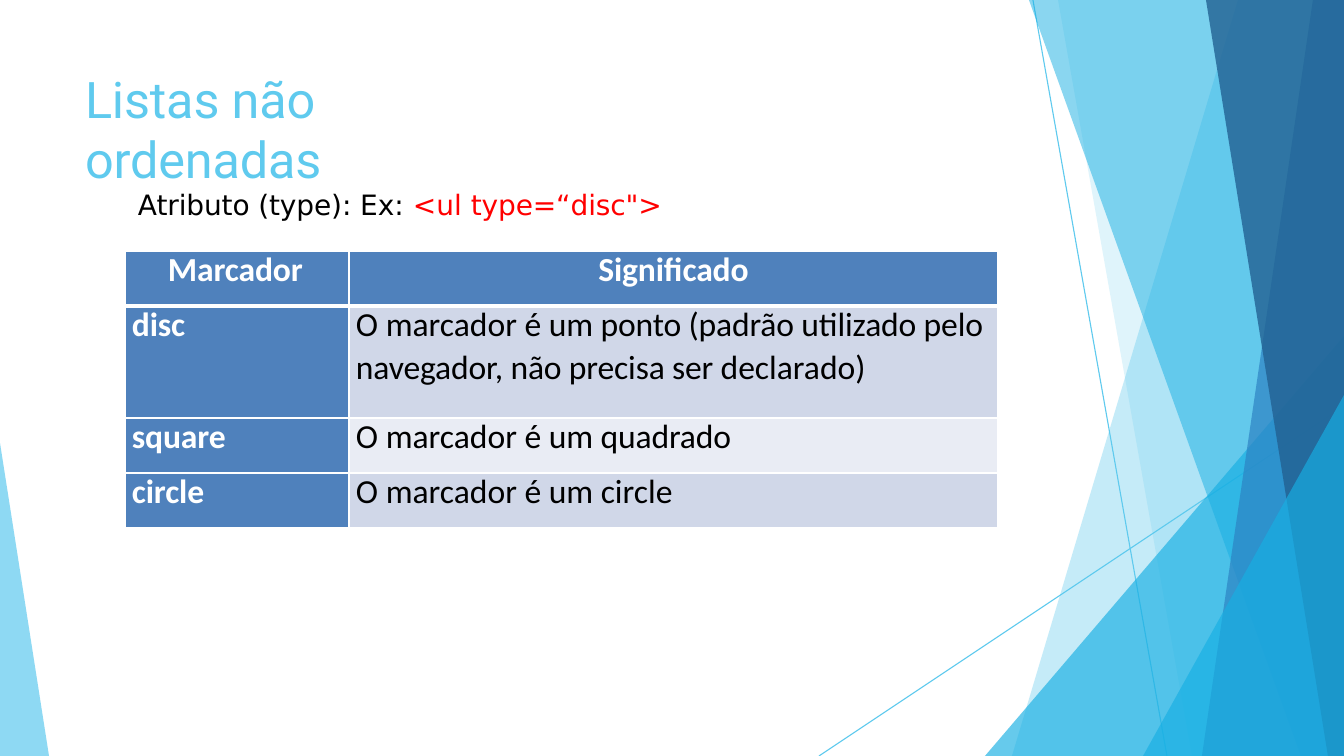
from dataclasses import dataclass

from lxml.etree import SubElement
from pptx import Presentation
from pptx.dml.color import RGBColor
from pptx.dml.fill import FillFormat
from pptx.enum.shapes import MSO_CONNECTOR
from pptx.enum.text import MSO_ANCHOR, MSO_AUTO_SIZE, PP_ALIGN
from pptx.oxml.ns import qn
from pptx.slide import Slide
from pptx.table import _Cell
from pptx.text.text import TextFrame, _Paragraph
from pptx.util import Emu, Pt

EMU_PER_PX = 914400 / 100.8
WIDTH, HEIGHT = 1344, 756
SKY, CYAN, BLUE, NAVY = "5FCAEE", "17AFE3", "2D83C3", "226192"
WHITE, BLACK, RED = "FFFFFF", "000000", "FF0000"
HEADER, BAND_DARK, BAND_LIGHT = "4F81BC", "D0D7E8", "E9ECF4"
TIGHT = -0.1


@dataclass(frozen=True)
class Facet:
    """A translucent polygon of the background, in px."""
    points: tuple[tuple[int, int], ...]
    color: str
    opacity: int


@dataclass(frozen=True)
class Ray:
    """A thin background line, in px."""
    start: tuple[int, int]
    end: tuple[int, int]


@dataclass(frozen=True)
class Span:
    """A run of text with its letter spacing in points."""
    text: str
    spacing: float = TIGHT
    color: str = BLACK


@dataclass(frozen=True)
class Marker:
    """A table row: the marker name and the lines of its meaning."""
    name: str
    lines: tuple[tuple[Span, ...], ...]
    height: int
    fill: str


RAYS = (Ray((1033, 0), (1167, HEIGHT)), Ray((WIDTH, 406), (819, HEIGHT)))


def right_facet(top: int, bottom: int, color: str, opacity: int) -> Facet:
    """Return a full-height facet that ends at the right edge."""
    points = ((WIDTH, 0), (top, 0), (bottom, HEIGHT), (WIDTH, HEIGHT))
    return Facet(points, color, opacity)


def corner_facet(top: int, left: int) -> Facet:
    """Return a triangle in the lower right corner."""
    return Facet(((WIDTH, top), (left, HEIGHT), (WIDTH, HEIGHT)), CYAN, 66)


FACETS = (
    right_facet(1238, 1012, SKY, 36),
    right_facet(1058, 1192, SKY, 20),
    corner_facet(336, 985),
    right_facet(1029, 1301, CYAN, 50),
    right_facet(1313, 1202, BLUE, 70),
    right_facet(1206, 1328, NAVY, 80),
    corner_facet(395, 1143),
    Facet(((0, 443), (0, HEIGHT), (49, HEIGHT)), SKY, 70),
)
INTRO = Span("O marcador é ", 0)
MARKERS = (
    Marker("disc", (
        (INTRO, Span("um ponto (padrão utilizado pelo")),
        (Span("navegador, não precisa ser "), Span("declarado)", 0)),
    ), 112, BAND_DARK),
    Marker("square", ((INTRO, Span("um quadrado")),), 55, BAND_LIGHT),
    Marker("circle", ((INTRO, Span("um "), Span("circle", 0)),), 55, BAND_DARK),
)


def px(length: int) -> Emu:
    """Convert px to EMU."""
    return Emu(round(length * EMU_PER_PX))


def rgb(color: str) -> RGBColor:
    """Convert a hex string to a colour."""
    return RGBColor.from_string(color)


def paint(fill: FillFormat, color: str) -> None:
    """Give a fill one solid colour."""
    fill.solid()
    fill.fore_color.rgb = rgb(color)


def add_facet(page: Slide, facet: Facet) -> None:
    """Draw a translucent polygon."""
    builder = page.shapes.build_freeform(*facet.points[0], scale=EMU_PER_PX)
    builder.add_line_segments(facet.points[1:], close=True)
    shape = builder.convert_to_shape()
    shape.shadow.inherit = False
    shape.line.fill.background()
    paint(shape.fill, facet.color)
    tint = shape.fill._xPr.find(f".//{qn('a:srgbClr')}")
    SubElement(tint, qn("a:alpha"), val=str(facet.opacity * 1000))


def add_ray(page: Slide, ray: Ray) -> None:
    """Draw a thin line."""
    points = [px(length) for length in ray.start + ray.end]
    line = page.shapes.add_connector(MSO_CONNECTOR.STRAIGHT, *points)
    line.line.color.rgb = rgb(SKY)
    line.line.width = Pt(0.8)
    SubElement(line._element.spPr, qn("a:effectLst"))


def add_span(para: _Paragraph, text: str, *, font: str, size: int, color: str,
             bold: bool = False, spacing: float = TIGHT) -> None:
    """Add one formatted run to a paragraph."""
    span = para.add_run()
    span.text = text
    span.font.name = font
    span.font.size = Pt(size)
    span.font.bold = bold
    span.font.color.rgb = rgb(color)
    span._r.get_or_add_rPr().set("spc", str(round(spacing * 100)))


def set_frame(frame: TextFrame) -> None:
    """Make a top-anchored, wrapping frame that grows with its text."""
    frame.word_wrap = True
    frame.auto_size = MSO_AUTO_SIZE.SHAPE_TO_FIT_TEXT
    frame.vertical_anchor = MSO_ANCHOR.TOP
    frame.margin_left = frame.margin_top = px(1)
    frame.margin_right = frame.margin_bottom = 0


def add_borders(cell: _Cell, top: int, bottom: int) -> None:
    """Draw white cell borders, with top and bottom widths in points."""
    properties = cell._tc.get_or_add_tcPr()
    for side, width in (("L", 1), ("R", 1), ("T", top), ("B", bottom)):
        line = SubElement(properties, qn(f"a:ln{side}"), w=str(Pt(width)))
        solid = SubElement(line, qn("a:solidFill"))
        SubElement(solid, qn("a:srgbClr"), val=WHITE)


def fill_cell(cell: _Cell, lines: tuple[tuple[Span, ...], ...], fill: str, *,
              row: int, bold: bool = False, indent: int = 7,
              align: PP_ALIGN = PP_ALIGN.LEFT) -> None:
    """Write and format one table cell."""
    add_borders(cell, 3 if row == 1 else 1, 3 if row == 0 else 1)
    paint(cell.fill, fill)
    cell.margin_left = px(indent)
    cell.margin_right = cell.margin_top = cell.margin_bottom = 0
    for number, spans in enumerate(lines):
        frame = cell.text_frame
        para = frame.add_paragraph() if number else frame.paragraphs[0]
        para.alignment = align
        if number:
            para.space_before = Pt(1.9)
        else:
            para.line_spacing = Pt(28)
        for span in spans:
            add_span(para, span.text, font="Calibri", size=24, bold=bold,
                     color=span.color, spacing=span.spacing)


def add_marker_table(page: Slide) -> None:
    """Add the table of list markers."""
    heights = [55] + [marker.height for marker in MARKERS]
    widths = [224, 649]
    box = page.shapes.add_table(len(heights), 2, px(125), px(251),
                                px(sum(widths)), px(sum(heights)))
    table = box.table
    table.horz_banding = False
    for column, width in zip(table.columns, widths):
        column.width = px(width)
    for line, height in zip(table.rows, heights):
        line.height = px(height)
    fill_cell(table.cell(0, 0), ((Span("Marcador", color=WHITE),),), HEADER,
              row=0, bold=True, indent=43)
    fill_cell(table.cell(0, 1), ((Span("Significado", color=WHITE),),), HEADER,
              row=0, bold=True, indent=0, align=PP_ALIGN.CENTER)
    for row, marker in enumerate(MARKERS, 1):
        fill_cell(table.cell(row, 0), ((Span(marker.name, color=WHITE),),),
                  HEADER, row=row, bold=True)
        fill_cell(table.cell(row, 1), marker.lines, marker.fill, row=row)


def main() -> None:
    """Build and save the slide."""
    deck = Presentation()
    deck.slide_width, deck.slide_height = px(WIDTH), px(HEIGHT)
    page = deck.slides.add_slide(deck.slide_layouts.get_by_name("Title Only"))
    for ray in RAYS:
        add_ray(page, ray)
    for facet in FACETS:
        add_facet(page, facet)
    title = page.shapes.title
    title.left, title.top, title.width, title.height = map(px, (84, 67, 472, 64))
    set_frame(title.text_frame)
    para = title.text_frame.paragraphs[0]
    para.alignment = PP_ALIGN.LEFT
    add_span(para, "Listas não ordenadas", font="Roboto", size=36, color=SKY)
    add_marker_table(page)
    box = page.shapes.add_textbox(*map(px, (137, 187, 762, 35)))
    set_frame(box.text_frame)
    para = box.text_frame.paragraphs[0]
    for span in (Span("Atributo (type): "), Span("Ex: ", 0),
                 Span("<ul ", 0, RED), Span("type=“disc\">", color=RED)):
        add_span(para, span.text, font="DejaVu Sans", size=20,
                 color=span.color, spacing=span.spacing)
    deck.save("out.pptx")


if __name__ == "__main__":
    main()
